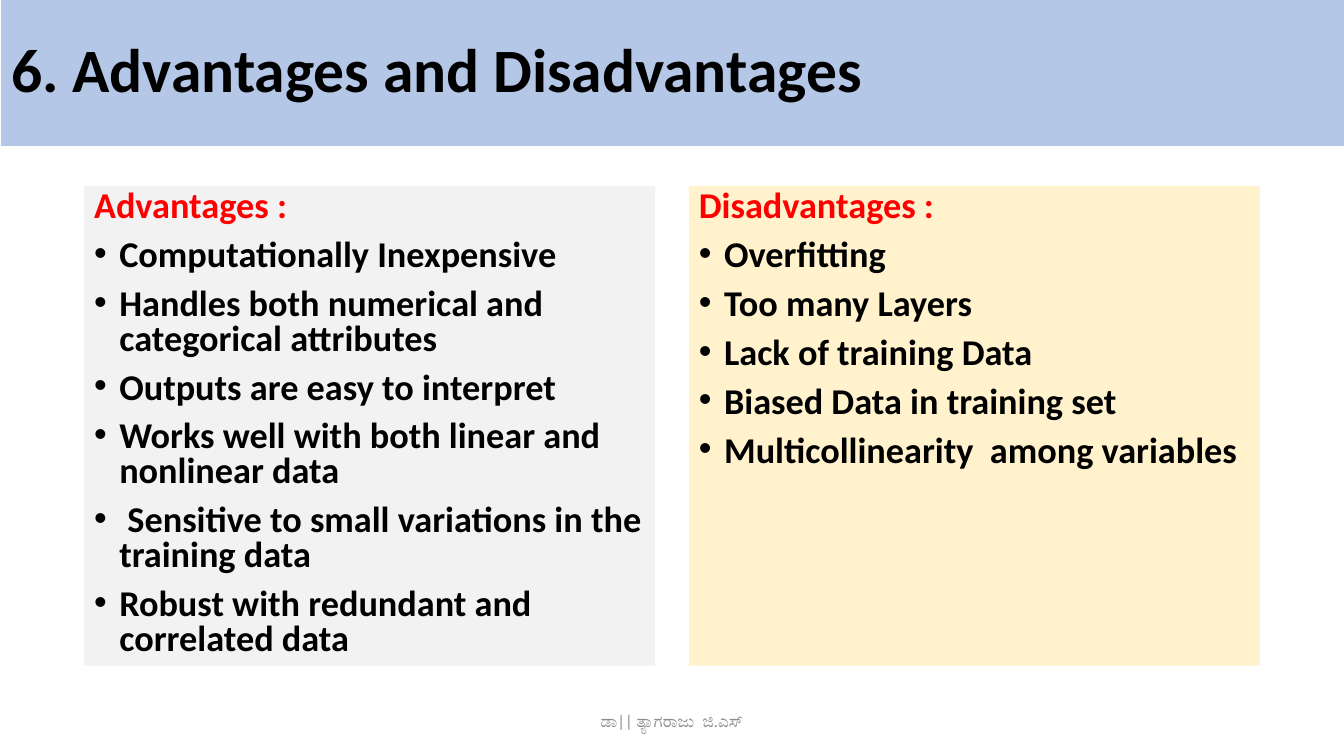
from dataclasses import dataclass

from lxml import etree
from pptx import Presentation
from pptx import util as u
from pptx.dml.color import RGBColor
from pptx.enum import text
from pptx.oxml.ns import qn

PX = 9525  # EMU per px, 96 px to the inch
FONT = "Calibri"
BULLET_INDENT = 24


@dataclass
class Box:
    left: int
    top: int
    width: int
    height: int


@dataclass
class Column:
    box: Box
    fill: str
    heading: str
    points: list[str]


COLUMN_TOP, COLUMN_WIDTH, COLUMN_HEIGHT = 177, 544, 457
COLUMNS = [
    Column(Box(80, COLUMN_TOP, COLUMN_WIDTH, COLUMN_HEIGHT), "F2F2F2", "Advantages :", [
        "Computationally Inexpensive",
        "Handles both numerical and categorical attributes",
        "Outputs are easy to interpret",
        "Works well with both linear and nonlinear data",
        " Sensitive to small variations in the training data",
        "Robust with redundant and correlated data",
    ]),
    Column(Box(656, COLUMN_TOP, COLUMN_WIDTH, COLUMN_HEIGHT), "FFF2CC", "Disadvantages :", [
        "Overfitting",
        "Too many Layers",
        "Lack of training Data",
        "Biased Data in training set",
        "Multicollinearity  among variables",
    ]),
]


def color(value: str) -> RGBColor:
    return RGBColor.from_string(value)


def place(shape, box: Box, fill: str) -> None:
    shape.left, shape.top = box.left * PX, box.top * PX
    shape.width, shape.height = box.width * PX, box.height * PX
    shape.fill.solid()
    shape.fill.fore_color.rgb = color(fill)


def style(paragraph, size: float, ink: str, bold: bool) -> None:
    font = paragraph.font
    font.name, font.size, font.bold = FONT, u.Pt(size), bold
    font.color.rgb = color(ink)


def set_bullet(paragraph, bulleted: bool) -> None:
    props = paragraph._p.get_or_add_pPr()
    indent = BULLET_INDENT * PX if bulleted else 0
    props.set("marL", str(indent))
    props.set("indent", str(-indent))
    if bulleted:
        etree.SubElement(props, qn("a:buFont")).set("typeface", "Arial")
        etree.SubElement(props, qn("a:buChar")).set("char", "•")
    else:
        etree.SubElement(props, qn("a:buNone"))


def fill_column(body, column: Column) -> None:
    place(body, column.box, column.fill)
    frame = body.text_frame
    frame.auto_size = text.MSO_AUTO_SIZE.NONE
    for number, line in enumerate([column.heading, *column.points]):
        is_point = number > 0
        paragraph = frame.add_paragraph() if is_point else frame.paragraphs[0]
        paragraph.text = line
        set_bullet(paragraph, is_point)
        paragraph.line_spacing = 0.8
        paragraph.space_before = u.Pt(10 if is_point else 0)
        style(paragraph, 25.9, "000000" if is_point else "FF0000", True)


def main() -> None:
    deck = Presentation()
    deck.slide_width, deck.slide_height = 1280 * PX, 720 * PX
    slide = deck.slides.add_slide(deck.slide_layouts.get_by_name("Two Content"))
    title, *bodies = slide.placeholders

    # Title band
    place(title, Box(1, 0, 1279, 139), "B4C7E7")
    title.text_frame.text = "6. Advantages and Disadvantages"
    title.text_frame.auto_size = text.MSO_AUTO_SIZE.NONE
    title.text_frame.vertical_anchor = text.MSO_ANCHOR.MIDDLE
    heading = title.text_frame.paragraphs[0]
    heading.alignment = text.PP_ALIGN.LEFT
    heading.line_spacing = 0.9
    style(heading, 44, "000000", True)

    # Two lists
    for body, column in zip(bodies, COLUMNS):
        fill_column(body, column)

    # Author line
    author = slide.shapes.add_textbox(424 * PX, 667 * PX, 432 * PX, 38 * PX).text_frame
    author.word_wrap = True
    author.vertical_anchor = text.MSO_ANCHOR.MIDDLE
    author.text = "ಡಾ|| ತ್ಯಾಗರಾಜು  ಜಿ.ಎಸ್"
    author.paragraphs[0].alignment = text.PP_ALIGN.CENTER
    style(author.paragraphs[0], 12, "8C8C8C", False)

    deck.save("out.pptx")


if __name__ == "__main__":
    main()
